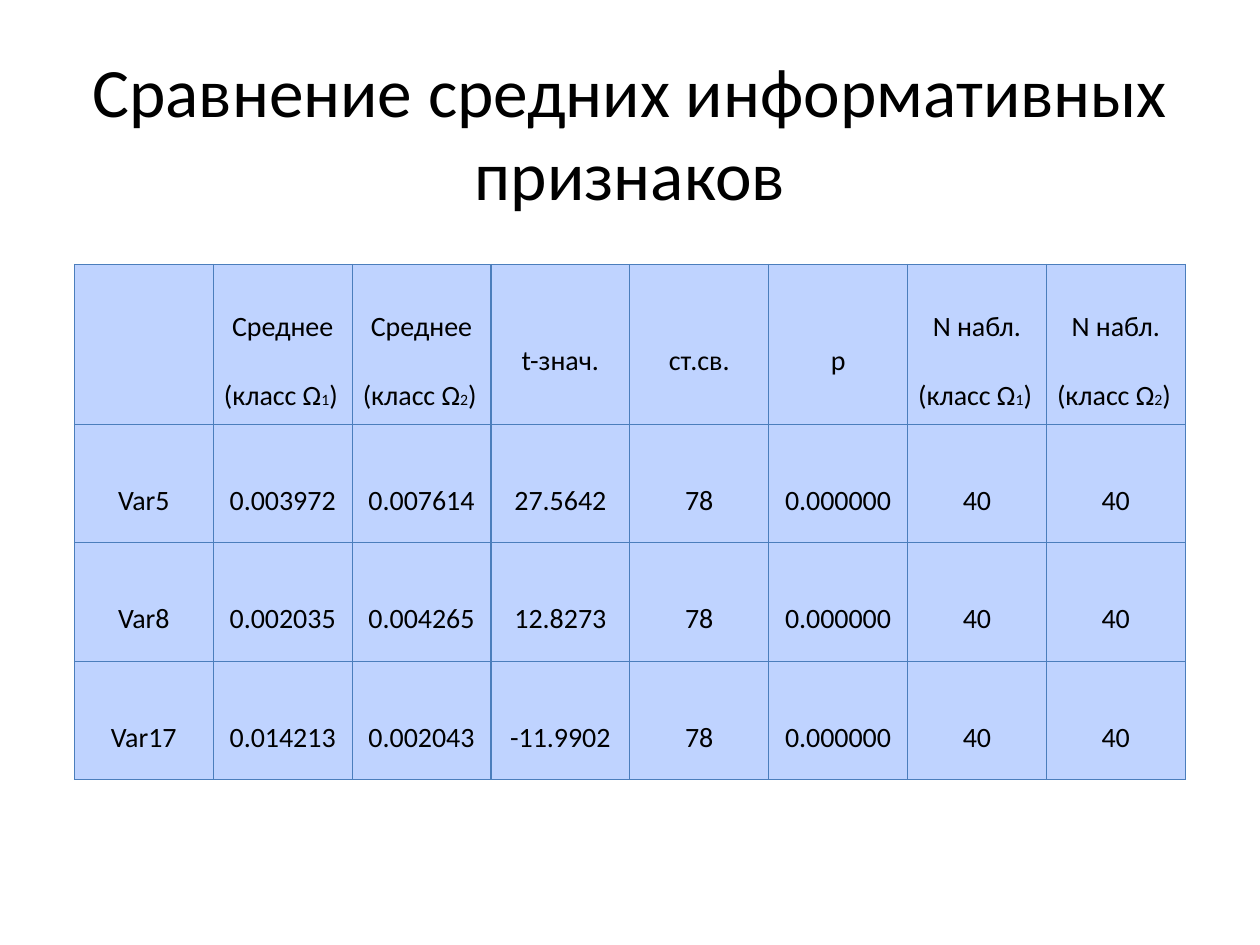
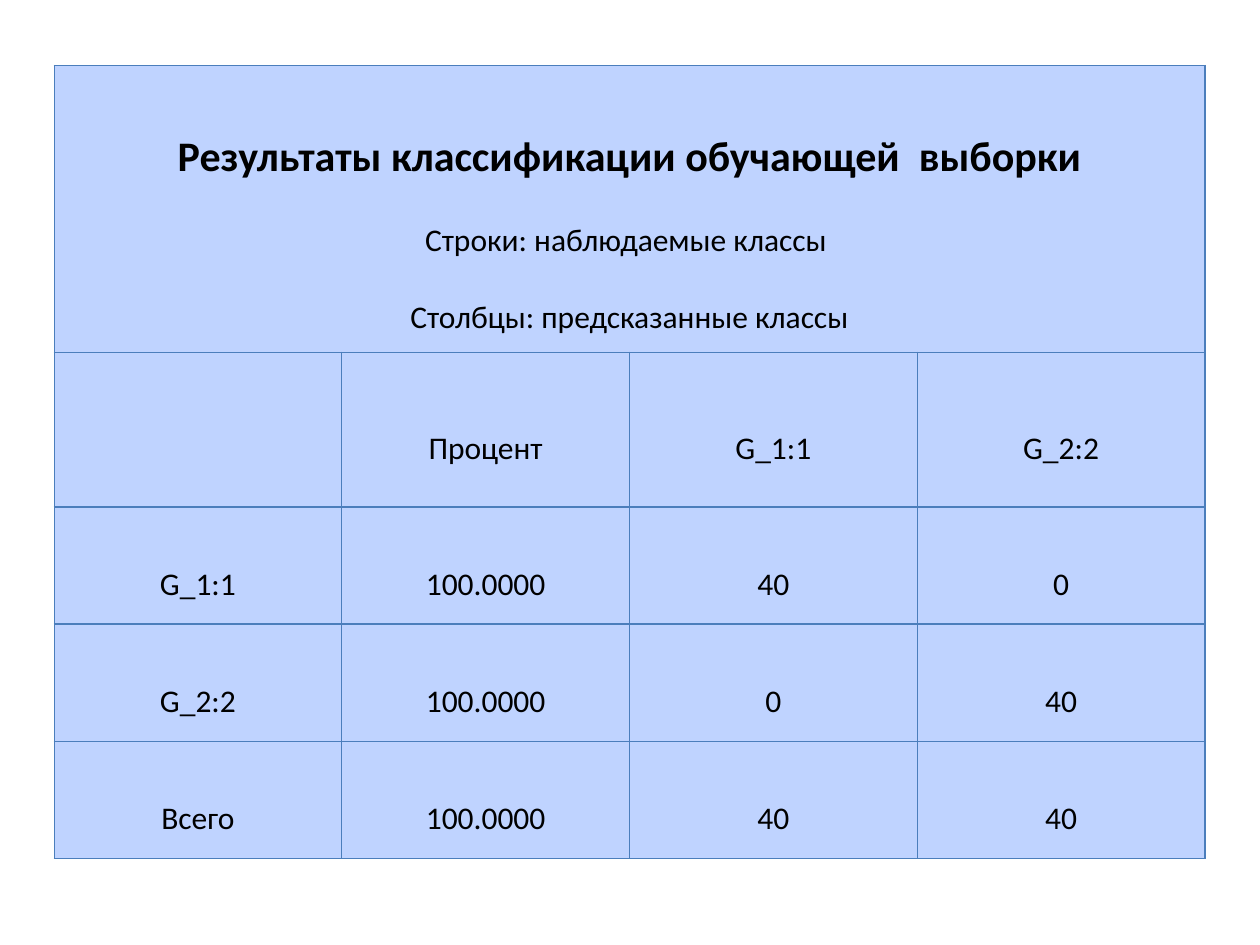
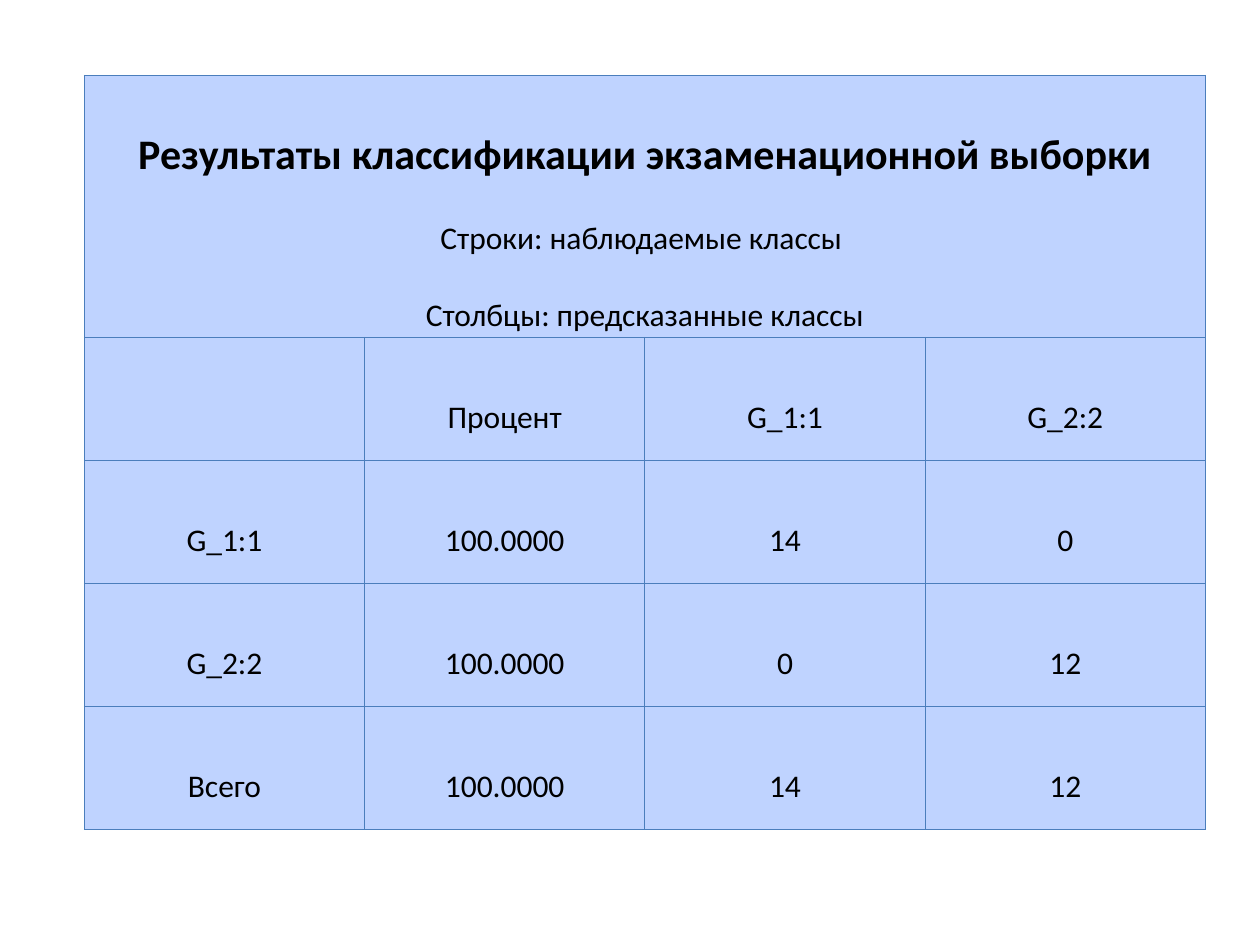
from lxml.etree import SubElement
from pptx import Presentation
from pptx.dml.color import RGBColor
from pptx.enum.text import MSO_ANCHOR, PP_ALIGN
from pptx.oxml.ns import qn
from pptx.util import Cm, Pt

# Shared look
COLORS = {"text": "000000", "cell": "BFD3FF", "border": "4B7EBC"}
FONT = "Calibri"
TITLE_SIZE = 39.6
CAPTION_SIZE = 24
SMALL_SIZE = 9
BORDER_WIDTH = 0.75
CELL_MARGIN = 0.03
TITLE_ONLY, BLANK = 5, 6

# Cell text: a string, or a list of paragraphs; a paragraph is a string
# or a list of (text, size, bold) runs.
MEANS_SIZE = 16
MEANS_ROWS = [
    ["Var5", "0.003972", "0.007614", "27.5642", "78", "0.000000", "40", "40"],
    ["Var8", "0.002035", "0.004265", "12.8273", "78", "0.000000", "40", "40"],
    ["Var17", "0.014213", "0.002043", "-11.9902", "78", "0.000000", "40", "40"],
]
CLASSES_SIZE = 18
CLASSES_HEADER = ["", "Процент", "G_1:1", "G_2:2"]


def format_run(run, size, bold=False):
    run.font.name = FONT
    run.font.size = Pt(size)
    run.font.bold = bold
    run.font.color.rgb = RGBColor.from_string(COLORS["text"])


def add_title(slide, text):
    title = slide.shapes.title
    title.left, title.top = Cm(1.27), Cm(0.76)
    title.width, title.height = Cm(22.86), Cm(3.76)
    title.text_frame.text = text
    title.text_frame.word_wrap = True
    title.text_frame.vertical_anchor = MSO_ANCHOR.MIDDLE
    paragraph = title.text_frame.paragraphs[0]
    paragraph.alignment = PP_ALIGN.CENTER
    format_run(paragraph.runs[0], TITLE_SIZE)


def style_cell(cell):
    cell.vertical_anchor = MSO_ANCHOR.MIDDLE
    cell.margin_left = cell.margin_right = Cm(CELL_MARGIN)
    cell.margin_top = cell.margin_bottom = Cm(CELL_MARGIN)
    # Borders come before the fill in the cell properties
    properties = cell._tc.get_or_add_tcPr()
    for side in ("a:lnL", "a:lnR", "a:lnT", "a:lnB"):
        line = SubElement(properties, qn(side), w=str(Pt(BORDER_WIDTH)))
        fill = SubElement(line, qn("a:solidFill"))
        SubElement(fill, qn("a:srgbClr"), val=COLORS["border"])
    cell.fill.solid()
    cell.fill.fore_color.rgb = RGBColor.from_string(COLORS["cell"])


def fill_cell(cell, content, size):
    if not content:
        return
    paragraphs = [content] if isinstance(content, str) else content
    text_frame = cell.text_frame
    for index, runs in enumerate(paragraphs):
        paragraph = text_frame.add_paragraph() if index else text_frame.paragraphs[0]
        paragraph.alignment = PP_ALIGN.CENTER
        paragraph.line_spacing = 2.0
        if isinstance(runs, str):
            runs = [(runs, size, False)]
        for text, run_size, bold in runs:
            run = paragraph.add_run()
            run.text = text
            format_run(run, run_size, bold)


def add_grid(slide, left, top, column_width, row_heights, rows, size):
    column_count = len(rows[-1])
    frame = slide.shapes.add_table(
        len(rows), column_count, Cm(left), Cm(top),
        Cm(column_width * column_count), Cm(sum(row_heights)))
    table = frame.table
    table.first_row = table.horz_banding = False
    for column in table.columns:
        column.width = Cm(column_width)
    for row, height in zip(table.rows, row_heights):
        row.height = Cm(height)
        for cell in row.cells:
            style_cell(cell)
    for row_index, row in enumerate(rows):
        # A row with a single entry spans the whole table
        if len(row) == 1:
            table.cell(row_index, 0).merge(table.cell(row_index, column_count - 1))
        for column_index, content in enumerate(row):
            fill_cell(table.cell(row_index, column_index), content, size)


def class_runs(prefix, number):
    return [(f"{prefix}(класс Ω", MEANS_SIZE, False), (number, SMALL_SIZE, False),
            (")", MEANS_SIZE, False), (" ", SMALL_SIZE, False)]


def class_headers(label):
    """Headers of one measure for the first and the second class."""
    return [[label, class_runs("", "1")], [class_runs(f"{label} ", "2")]]


def add_means_slide(presentation):
    slide = presentation.slides.add_slide(presentation.slide_layouts[TITLE_ONLY])
    add_title(slide, "Сравнение средних информативных признаков")
    header = ["", *class_headers("Среднее"), "t-знач.", "ст.св.", "p",
              *class_headers("N набл.")]
    add_grid(slide, 1.5, 5.33, 2.8, [3.22] + [2.39] * 3,
             [header] + MEANS_ROWS, MEANS_SIZE)


def add_classes_slide(presentation, caption, counts, left, top, column_width, row_heights):
    slide = presentation.slides.add_slide(presentation.slide_layouts[BLANK])
    first, second = counts
    heading = [[(caption, CAPTION_SIZE, True)],
               "Строки: наблюдаемые классы ", "Столбцы: предсказанные классы"]
    rows = [
        [heading],
        CLASSES_HEADER,
        ["G_1:1", "100.0000", first, "0"],
        ["G_2:2", "100.0000", "0", second],
        ["Всего", "100.0000", first, second],
    ]
    add_grid(slide, left, top, column_width, row_heights, rows, CLASSES_SIZE)


def main():
    presentation = Presentation()
    presentation.slide_width, presentation.slide_height = Cm(25.4), Cm(19.05)
    add_means_slide(presentation)
    add_classes_slide(
        presentation, "Результаты классификации обучающей \u00a0выборки",
        ("40", "40"), 1.09, 1.32, 5.8, [5.78, 3.12] + [2.36] * 3)
    add_classes_slide(
        presentation, "Результаты классификации экзаменационной выборки",
        ("14", "12"), 1.7, 1.52, 5.65, [5.28] + [2.48] * 4)
    presentation.save("out.pptx")


main()
